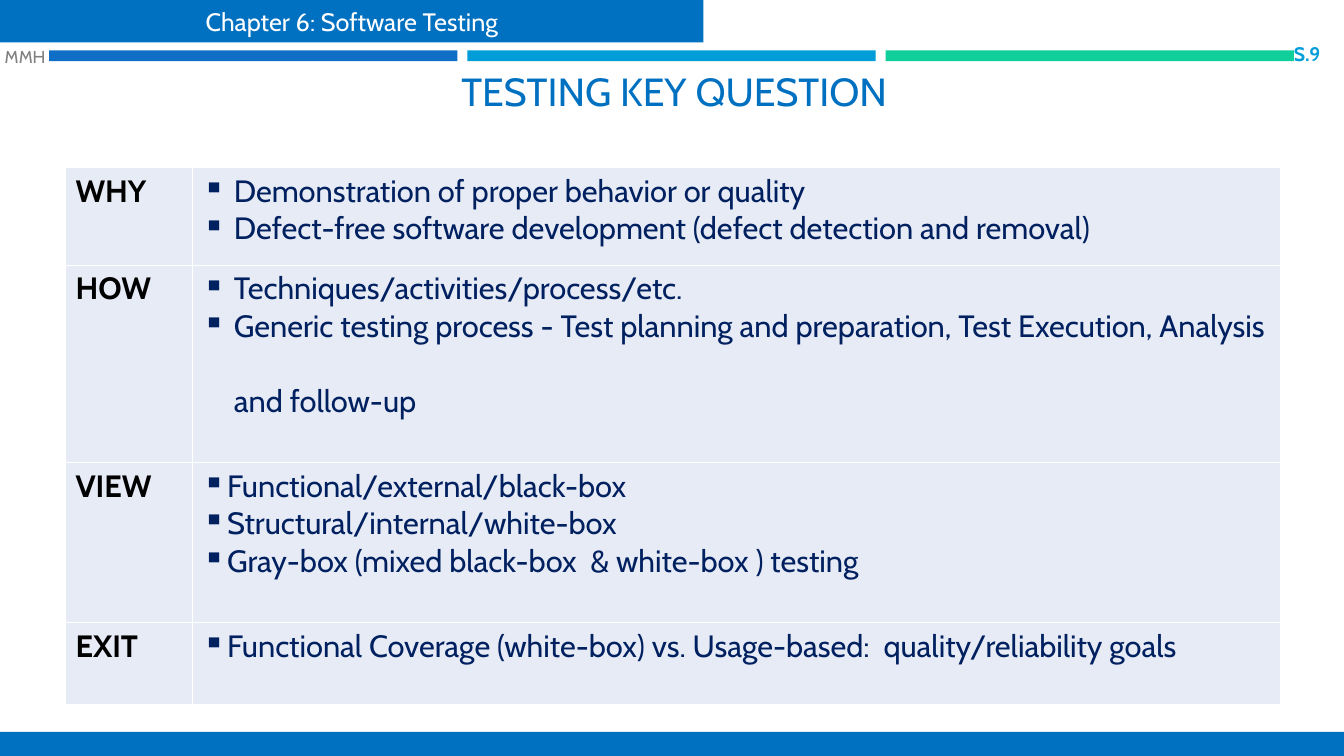
import pptx
import pptx.dml.color
import pptx.enum.shapes
import pptx.enum.text
import pptx.oxml
import pptx.oxml.ns
import pptx.util

Cm = pptx.util.Cm
Pt = pptx.util.Pt
RGBColor = pptx.dml.color.RGBColor
ALIGN = pptx.enum.text.PP_ALIGN
ANCHOR = pptx.enum.text.MSO_ANCHOR

BLUE = RGBColor(0x00, 0x70, 0xC0)
DEEP_BLUE = RGBColor(0x0F, 0x6F, 0xC6)
SKY = RGBColor(0x00, 0x9D, 0xD9)
GREEN = RGBColor(0x10, 0xCF, 0x9B)
NAVY = RGBColor(0x00, 0x20, 0x60)
PALE = RGBColor(0xE7, 0xEB, 0xF5)
GRAY = RGBColor(0x80, 0x80, 0x80)
WHITE = RGBColor(0xFF, 0xFF, 0xFF)
BLACK = RGBColor(0x00, 0x00, 0x00)
FONT = "Cabin"


def write(paragraph, text, size=22, color=BLACK, bold=False, align=ALIGN.LEFT,
          indent=0, bullet=False, before=0):
    """Fill a paragraph; indent is in cm and hangs when there is a bullet."""
    run = paragraph.add_run()
    run.text = text
    run.font.name = FONT
    run.font.size = Pt(size)
    run.font.bold = bold
    run.font.color.rgb = color
    paragraph.alignment = align
    paragraph.space_before = Pt(before)
    if indent:
        properties = paragraph._p.get_or_add_pPr()
        properties.set("marL", str(Cm(indent)))
        properties.set("indent", str(-Cm(indent) if bullet else 0))
        if bullet:
            mark = pptx.oxml.parse_xml(
                f'<a:buChar {pptx.oxml.ns.nsdecls("a")} char="▪"/>')
            properties.append(mark)


class TestingSlide:
    def __init__(self, presentation):
        self.slide = presentation.slides.add_slide(presentation.slide_layouts[5])
        self.shapes = self.slide.shapes

    def set_frame(self, frame, text, anchor=ANCHOR.MIDDLE, left=0.25, **style):
        frame.word_wrap = True
        frame.auto_size = pptx.enum.text.MSO_AUTO_SIZE.NONE
        frame.vertical_anchor = anchor
        frame.margin_left = Cm(left)
        write(frame.paragraphs[0], text, **style)

    def bar(self, left, top, width, height, color):
        bar = self.shapes.add_shape(pptx.enum.shapes.MSO_SHAPE.RECTANGLE,
                                    Cm(left), Cm(top), Cm(width), Cm(height))
        bar.shadow.inherit = False
        bar.fill.solid()
        bar.fill.fore_color.rgb = color
        bar.line.fill.background()
        return bar

    def title(self, text, left, top, width, height, inset):
        title = self.shapes.title
        title.left, title.top = Cm(left), Cm(top)
        title.width, title.height = Cm(width), Cm(height)
        self.set_frame(title.text_frame, text, ANCHOR.BOTTOM, inset,
                       size=28, color=BLUE, align=ALIGN.CENTER)

    def label(self, text, left, top, width, height, inset=0.25, **style):
        label = self.shapes.add_textbox(Cm(left), Cm(top), Cm(width), Cm(height))
        self.set_frame(label.text_frame, text, left=inset, **style)
        label.text_frame.margin_right = Cm(0.25)

    def style_cell(self, cell):
        properties = cell._tc.get_or_add_tcPr()
        for side in ("lnL", "lnR", "lnT", "lnB"):
            properties.append(pptx.oxml.parse_xml(
                f'<a:{side} {pptx.oxml.ns.nsdecls("a")} w="{Pt(1)}"><a:solidFill>'
                f'<a:srgbClr val="{WHITE}"/></a:solidFill></a:{side}>'))
        cell.fill.solid()
        cell.fill.fore_color.rgb = PALE

    def question_table(self, questions, left, top, widths, heights):
        table = self.shapes.add_table(
            len(questions), len(widths), Cm(left), Cm(top),
            Cm(sum(widths)), Cm(sum(heights))).table
        table.first_row = table.horz_banding = False
        for column, width in zip(table.columns, widths):
            column.width = Cm(width)
        for number, (question, indent, answers) in enumerate(questions):
            table.rows[number].height = Cm(heights[number])
            key, body = table.cell(number, 0), table.cell(number, 1)
            self.style_cell(key)
            self.style_cell(body)
            write(key.text_frame.paragraphs[0], question, bold=True)
            for order, (answer, layout) in enumerate(answers):
                frame = body.text_frame
                paragraph = frame.add_paragraph() if order else frame.paragraphs[0]
                write(paragraph, answer, color=NAVY, indent=indent, **layout)


POINT = {"bullet": True}
CONTINUED = {"before": 27}
QUESTIONS = [
    ("WHY", 0.79, [
        ("Demonstration of proper behavior or quality", POINT),
        ("Defect-free software development (defect detection and removal)", POINT)]),
    ("HOW", 0.79, [
        ("Techniques/activities/process/etc.", POINT),
        ("Generic testing process - Test planning and preparation, "
         "Test Execution, Analysis", POINT),
        ("and follow-up", CONTINUED)]),
    ("VIEW", 0.62, [
        ("Functional/external/black-box", POINT),
        ("Structural/internal/white-box", POINT),
        ("Gray-box (mixed black-box  & white-box ) testing", POINT)]),
    ("EXIT", 0.62, [
        ("Functional Coverage (white-box) vs. Usage-based:  "
         "quality/reliability goals", POINT)]),
]


def main():
    presentation = pptx.Presentation()
    presentation.slide_width = Cm(33.87)
    presentation.slide_height = Cm(19.05)
    page = TestingSlide(presentation)

    # Coloured stripes under the chapter banner
    for place, color in enumerate((DEEP_BLUE, SKY, GREEN)):
        page.bar(1.24 + place * 10.54, 1.27, 10.29, 0.27, color)

    # Title and table of key questions
    page.title("TESTING KEY QUESTION", 0, 1.35, 30.63, 1.65, inset=3.6)
    page.question_table(QUESTIONS, 1.65, 4.22, (3.2, 27.43),
                        (2.46, 4.97, 4.03, 2.08))

    # Chapter banner and footer
    chapter = page.bar(0, 0, 17.73, 1.07, BLUE)
    page.set_frame(chapter.text_frame, "Chapter 6: Software Testing",
                   size=18, color=WHITE, align=ALIGN.CENTER)
    page.bar(0, 18.44, 33.87, 0.61, BLUE)

    # Slide number and author initials
    page.label("S.9", 32.18, 1.09, 1.35, 0.53, inset=0, size=14, color=SKY,
               bold=True, align=ALIGN.RIGHT)
    page.label("MMH", 0, 1.04, 1.45, 0.76, inset=0.12, size=12.3, color=GRAY)

    presentation.save("out.pptx")


if __name__ == "__main__":
    main()
